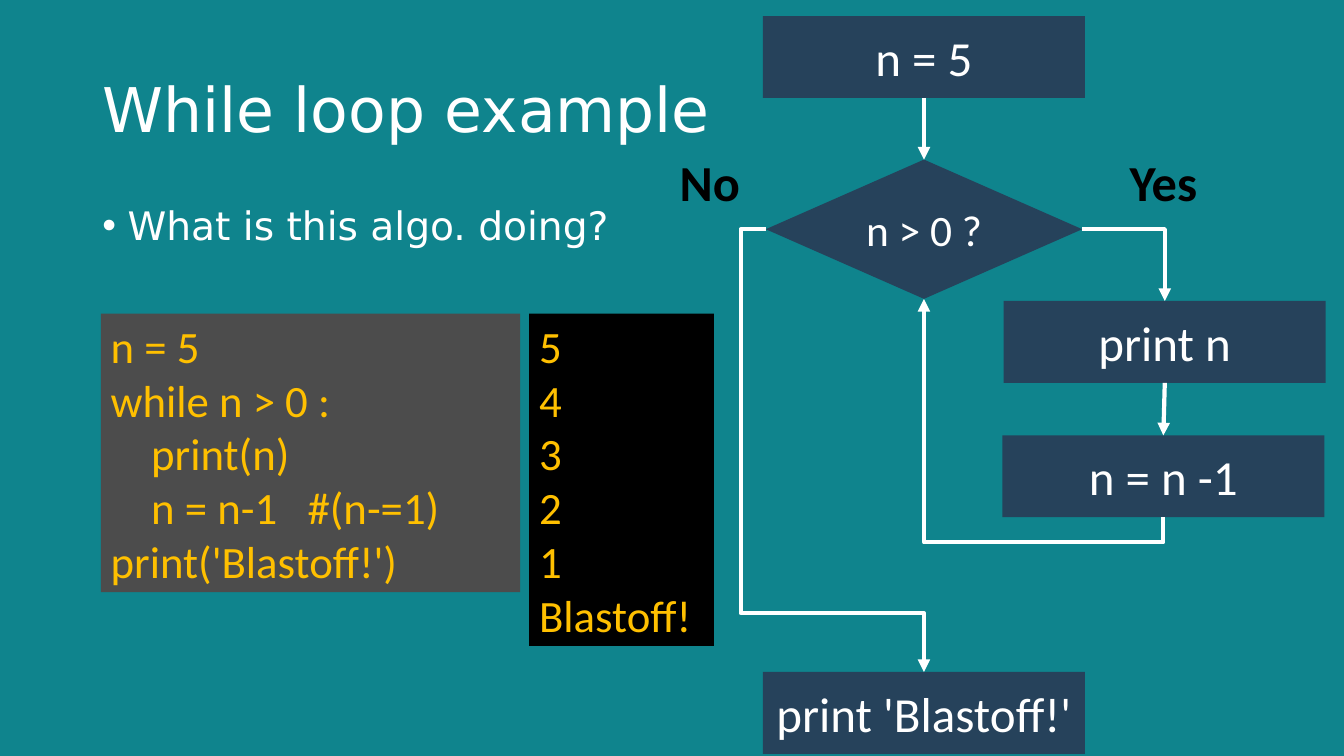
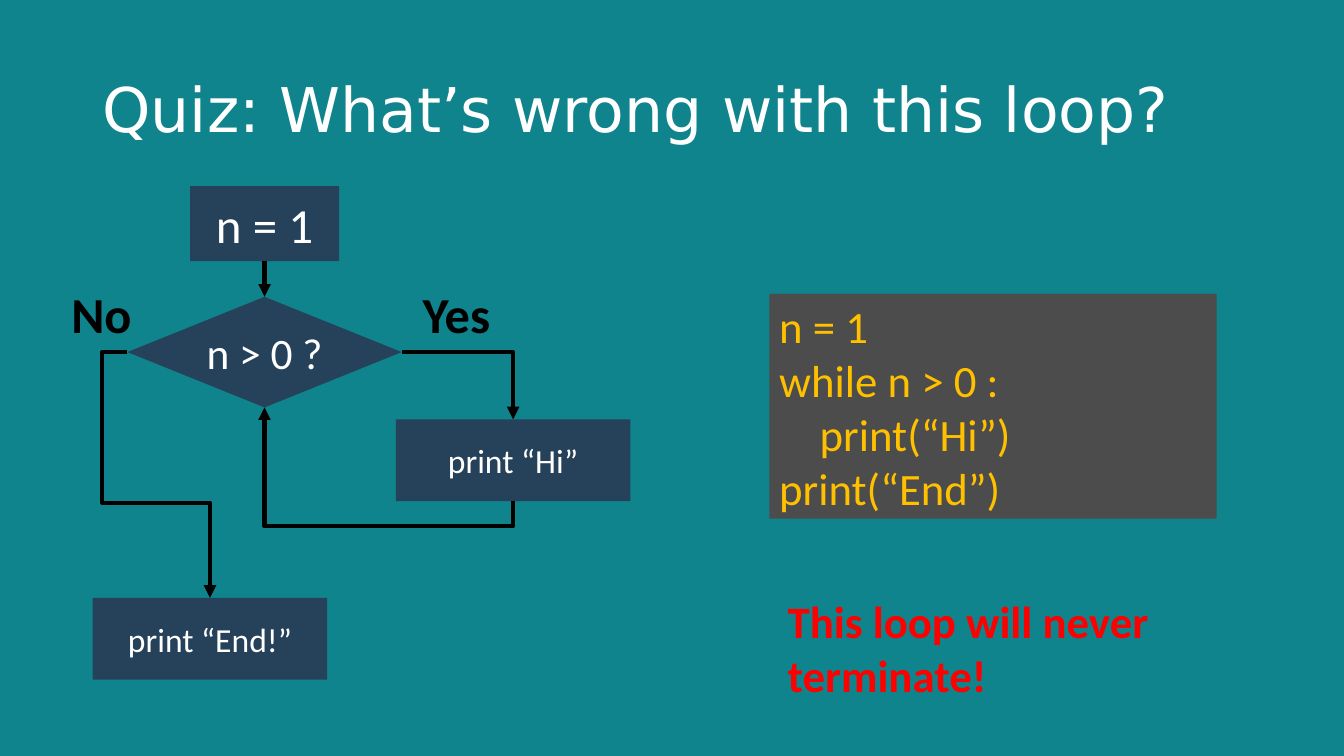
from lxml import etree
from pptx import Presentation
from pptx import util as u
from pptx.dml.color import RGBColor
from pptx.enum import shapes, text
from pptx.oxml.ns import qn

TEAL, NAVY, GREY = "0F848D", "26425B", "4C4C4C"
WHITE, BLACK, AMBER, RED = "FFFFFF", "000000", "FFC000", "FF0000"
HEADING_FONT, TEXT_FONT = "DejaVu Sans", "Calibri"
TITLE_BOX = (66, 29, 828, 103.5)
BODY_BOX = (66, 144, 384, 342)
CODE_INSETS, NO_INSETS = (7.2, 3.6), (0, 0)
LANE = 18
TOP, LEFT, BOTTOM, RIGHT = range(4)
LABEL_SIZES = {"No": 52, "Yes": 56}

SLIDES = [
    {
        "title": "While loop example",
        "bullets": ["What is this algo. doing?"],
        "arrow_color": WHITE,
        "nodes": {
            "start": ("n = 5", 660, 11.5, 230, 58.5, 35),
            "test": ("n > 0 ?", 660, 114, 226, 99.5, 31),
            "print": ("print n", 832, 215, 230, 58.5, 35),
            "step": ("n = n -1", 831, 311, 230, 58.5, 35),
            "end": ("print 'Blastoff!'", 660, 480, 230, 58.5, 35),
        },
        "body_steps": ["print", "step"],
        "exit_level": 438,
        "labels": [("No", 507, 108), ("Yes", 831, 108)],
        "code": [
            (["n = 5", "while n > 0 :", "    print(n)",
              "    n = n-1   #(n-=1)", "print('Blastoff!')"],
             (72, 224, 299.5, 199), GREY),
            (["5", "4", "3", "2", "1", "Blastoff!"],
             (378, 224, 132, 237.5), BLACK),
        ],
    },
    {
        "title": "Quiz: What’s wrong with this loop?",
        "arrow_color": BLACK,
        "nodes": {
            "start": ("n = 1", 189, 133, 106.5, 53.5, 35),
            "test": ("n > 0 ?", 189, 212, 196, 79, 31),
            "print": ("print “Hi”", 366.5, 299.5, 167.5, 58.5, 24),
            "end": ("print “End!”", 150, 427, 167.5, 58.5, 24),
        },
        "body_steps": ["print"],
        "exit_level": 359,
        "labels": [("No", 72.5, 202.5), ("Yes", 326, 202.5)],
        "code": [
            (["n = 1", "while n > 0 :", "    print(“Hi”)", "print(“End”)"],
             (549.5, 210, 319.5, 160.5), GREY),
        ],
        "note": ("This loop will never terminate!", (555.5, 420.5, 299, 83.5)),
    },
]


def color(value):
    return RGBColor.from_string(value)


def points(values):
    return [u.Pt(value) for value in values]


def write(shape, lines, size, ink, insets=CODE_INSETS, font=TEXT_FONT, bold=False,
          align=text.PP_ALIGN.LEFT, anchor=text.MSO_ANCHOR.TOP, wrap=True,
          fit=text.MSO_AUTO_SIZE.NONE):
    frame = shape.text_frame
    frame.margin_left = frame.margin_right = u.Pt(insets[0])
    frame.margin_top = frame.margin_bottom = u.Pt(insets[1])
    frame.word_wrap = wrap
    frame.auto_size = fit
    frame.vertical_anchor = anchor
    for index, line in enumerate(lines):
        para = frame.paragraphs[0] if index == 0 else frame.add_paragraph()
        para.text = line
        para.alignment = align
        para.font.name = font
        para.font.size = u.Pt(size)
        para.font.bold = bold
        para.font.color.rgb = color(ink)
    return frame.paragraphs


def place(shape, box):
    shape.left, shape.top, shape.width, shape.height = points(box)


def add_title(page, title):
    place(page.shapes.title, TITLE_BOX)
    for para in write(page.shapes.title, [title], 44, WHITE, font=HEADING_FONT,
                      anchor=text.MSO_ANCHOR.MIDDLE):
        para.line_spacing = 0.9


def add_bullets(page, bullets):
    body = page.placeholders[1]
    place(body, BODY_BOX)
    for para in write(body, bullets, 28, WHITE, font=HEADING_FONT):
        para.line_spacing = 0.9
        para.space_before = u.Pt(10)
        props = para._p.get_or_add_pPr()
        props.set("marL", str(u.Pt(18)))
        props.set("indent", str(-u.Pt(18)))


def add_filled(page, kind, box, fill):
    shape = page.shapes.add_shape(kind, *points(box))
    shape.shadow.inherit = False
    shape.fill.solid()
    shape.fill.fore_color.rgb = color(fill)
    shape.line.fill.background()
    return shape


def add_node(page, name, node):
    caption, center, top, width, height, size = node
    kinds = shapes.MSO_SHAPE
    kind = kinds.DIAMOND if name == "test" else kinds.RECTANGLE
    shape = add_filled(page, kind, (center - width / 2, top, width, height), NAVY)
    write(shape, [caption], size, WHITE, NO_INSETS,
          align=text.PP_ALIGN.CENTER, anchor=text.MSO_ANCHOR.MIDDLE)
    return shape


def add_label(page, caption, center, top):
    width = LABEL_SIZES[caption]
    box = page.shapes.add_textbox(*points((center - width / 2, top, width, 43)))
    write(box, [caption], 36, BLACK, NO_INSETS, bold=True, wrap=False,
          align=text.PP_ALIGN.CENTER, anchor=text.MSO_ANCHOR.MIDDLE,
          fit=text.MSO_AUTO_SIZE.SHAPE_TO_FIT_TEXT)


def add_arrow(page, start, start_site, end, end_site, ink, bent=False):
    kinds = shapes.MSO_CONNECTOR
    arrow = page.shapes.add_connector(kinds.ELBOW if bent else kinds.STRAIGHT, 0, 0, 0, 0)
    arrow.begin_connect(start, start_site)
    arrow.end_connect(end, end_site)
    arrow.line.color.rgb = color(ink)
    arrow.line.width = u.Pt(3)
    props = arrow._element.spPr
    etree.SubElement(props.find(qn("a:ln")), qn("a:tailEnd"), type="triangle")
    etree.SubElement(props, qn("a:effectLst"))
    return arrow


def bend(arrow, preset, adjustments=(), rotation=0, flip_h=0, flip_v=0):
    props = arrow._element.spPr
    frame = props.find(qn("a:xfrm"))
    for key, value in (("rot", rotation * 60000), ("flipH", flip_h), ("flipV", flip_v)):
        frame.set(key, str(value))
    geometry = props.find(qn("a:prstGeom"))
    geometry.set("prst", preset)
    guides = geometry.find(qn("a:avLst"))
    if guides is None:
        guides = etree.SubElement(geometry, qn("a:avLst"))
    for number, ratio in enumerate(adjustments, 1):
        etree.SubElement(guides, qn("a:gd"), name=f"adj{number}",
                         fmla=f"val {round(ratio * 100000)}")


def add_exit(page, test, end, level, ink):
    arrow = add_arrow(page, test, LEFT, end, TOP, ink, bent=True)
    ratios = (-u.Pt(LANE) / arrow.width, (u.Pt(level) - arrow.top) / arrow.height)
    bend(arrow, "bentConnector4", ratios, 180, 1, 1)


def add_loop_back(page, last, test, ink):
    arrow = add_arrow(page, last, BOTTOM, test, BOTTOM, ink, bent=True)
    across, rise = arrow.width, arrow.height
    arrow.left += (across - rise) // 2
    arrow.top += (rise - across) // 2
    arrow.width, arrow.height = rise, across
    bend(arrow, "bentConnector3", (-u.Pt(LANE) / rise,), 90, 1)


def add_flowchart(page, content):
    ink = content["arrow_color"]
    nodes = {name: add_node(page, name, node) for name, node in content["nodes"].items()}
    steps = [nodes[name] for name in content["body_steps"]]
    test = nodes["test"]
    for start, end in [(nodes["start"], test), *zip(steps, steps[1:])]:
        add_arrow(page, start, BOTTOM, end, TOP, ink)
    bend(add_arrow(page, test, RIGHT, steps[0], TOP, ink, bent=True), "bentConnector2")
    add_loop_back(page, steps[-1], test, ink)
    add_exit(page, test, nodes["end"], content["exit_level"], ink)
    for label in content["labels"]:
        add_label(page, *label)


def add_slide(deck, content):
    page = deck.slides.add_slide(deck.slide_layouts[1 if "bullets" in content else 5])
    add_title(page, content["title"])
    if "bullets" in content:
        add_bullets(page, content["bullets"])
    add_flowchart(page, content)
    grow = text.MSO_AUTO_SIZE.SHAPE_TO_FIT_TEXT
    for lines, box, fill in content["code"]:
        panel = add_filled(page, shapes.MSO_SHAPE.RECTANGLE, box, fill)
        write(panel, lines, 32, AMBER, fit=grow)
    if "note" in content:
        caption, box = content["note"]
        note = page.shapes.add_textbox(*points(box))
        write(note, [caption], 32, RED, bold=True, fit=grow)


def main():
    deck = Presentation()
    deck.slide_width, deck.slide_height = points((960, 540))
    backdrop = deck.slide_master.background.fill
    backdrop.solid()
    backdrop.fore_color.rgb = color(TEAL)
    for content in SLIDES:
        add_slide(deck, content)
    deck.save("out.pptx")


if __name__ == "__main__":
    main()
